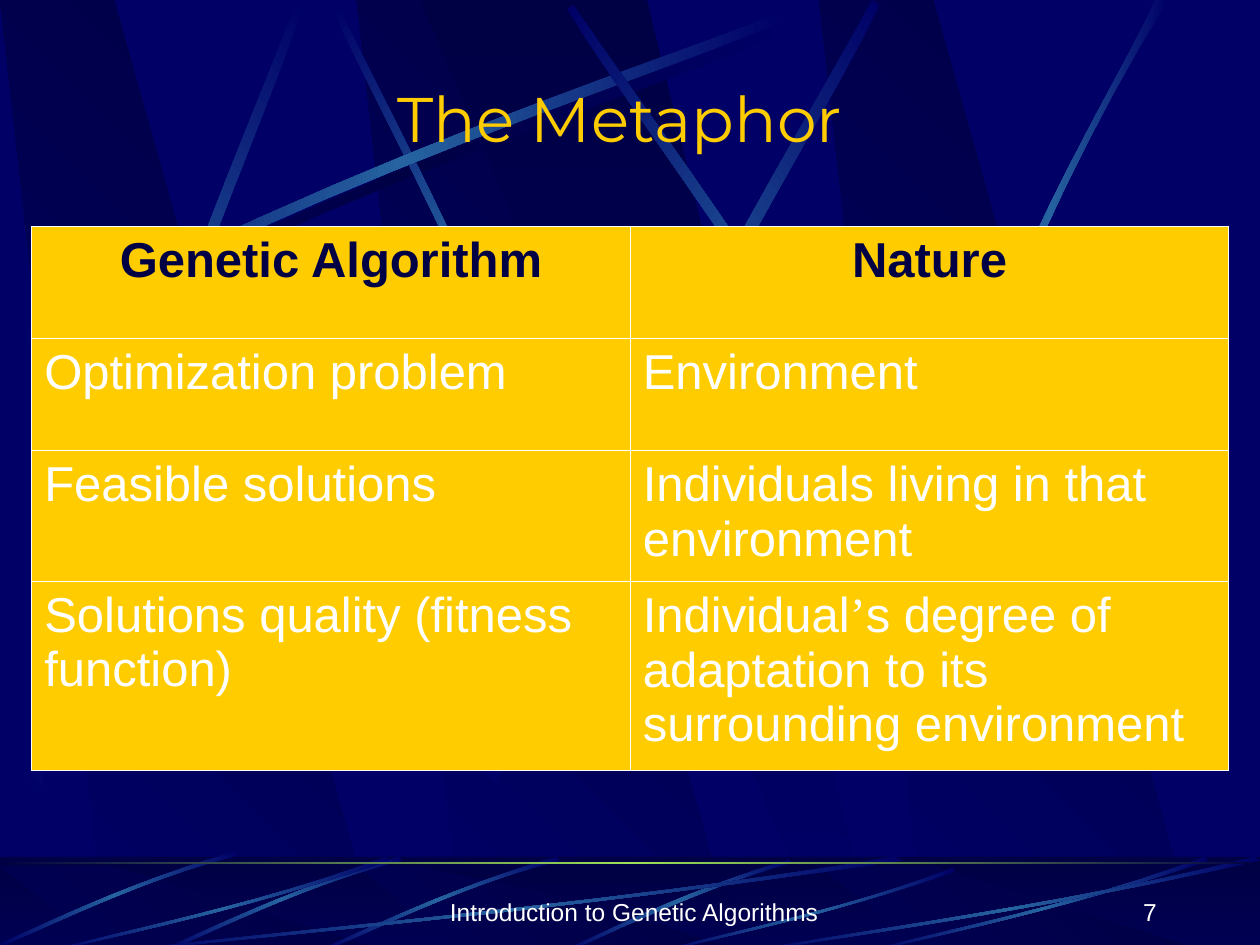
from lxml import etree
from pptx import Presentation
from pptx.dml.color import RGBColor
from pptx.enum.shapes import MSO_SHAPE
from pptx.enum.text import MSO_ANCHOR, PP_ALIGN
from pptx.oxml.ns import qn
from pptx.util import Cm, Pt

RECT = MSO_SHAPE.RECTANGLE
MID, LOW = MSO_ANCHOR.MIDDLE, MSO_ANCHOR.BOTTOM
LEFT, MIDDLE, RIGHT = PP_ALIGN.LEFT, PP_ALIGN.CENTER, PP_ALIGN.RIGHT

NAVY, DARK, STEEL = "000066", "000044", "2663A0"
GOLD, WHITE, LIME = "FFCC00", "FFFFFF", "9CE157"
GLOW = [NAVY, STEEL, NAVY]

# Outlines within a unit box
SHARD = [(.28, 1), (1, 1), (.3, 0), (0, 0)]
WEDGE = [(0, 0), (.9, 1), (1, 1), (.5, 0)]
SWEEP = [(1, .04), (.57, .57), (.17, .85), (.01, 1),
         (0, .99), (.17, .81), (.62, .51), (.99, 0)]

# Rays in cm: two curves of four points each
LONG = [(.36, 6.78), (7.06, 3.18), (13.16, 1.3), (15.75, .25),
        (15.82, .41), (13.26, 1.55), (6.3, 3.63), (.43, 7.04)]
RAYS = [
    (45, [(11.68, 11.07), (9.93, 5.94), (7.67, 1.96), (6.83, .13),
          (6.71, .18), (7.49, 2.01), (10.11, 6.55), (11.53, 11.15)]),
    (0, LONG),
    (311.7, [(.58, 15.88), (2.36, 8.48), (5, 2.67), (5.97, .05),
             (6.12, .1), (5.26, 2.74), (2.18, 9.35), (.81, 15.98)]),
    (321.6, [(9.78, 15.6), (12.65, 8.13), (16.21, 2.59), (17.58, 0),
             (17.73, .1), (16.48, 2.74), (12.34, 9.02), (10.01, 15.77)]),
    (34.8, [(20.47, 14.22), (17.02, 7.44), (13.11, 2.41), (11.56, .1),
            (11.43, .18), (12.88, 2.57), (17.4, 8.26), (20.29, 14.38)]),
    (0, [(18.75, 9.98), (20.68, 4.39), (22.56, 1.65), (23.29, 0),
         (23.55, 0), (21.23, 3.68), (19.53, 8.18), (18.9, 10.08)]),
]
ARC = [(15.93, .05), (13.64, .74), (12.12, 1.57), (11.38, 1.88),
       (11.51, 1.9), (12.45, 1.45), (14.5, .51), (15.95, .13)]
BLADE = [(11.23, 0), (9.02, .64), (7.29, 1.52), (6.5, 1.85),
         (6.53, 1.9), (7.32, 1.6), (9.27, .58), (11.28, .08)]

ROWS = [
    ("Genetic Algorithm", "Nature"),
    ("Optimization problem", "Environment"),
    ("Feasible solutions", "Individuals living in that environment"),
    ("Solutions quality (fitness function)",
     "Individual’s degree of adaptation to its surrounding environment"),
]
HEIGHTS = [2.26, 2.26, 2.64, 3.81]


def color(code):
    return RGBColor.from_string(code)


def node(parent, tag, **attrs):
    return etree.SubElement(parent, qn("a:" + tag), attrs)


def shade(shape, codes, angle):
    """Fill with evenly spaced gradient stops and no outline."""
    shape.shadow.inherit = False
    shape.line.fill.background()
    shape.fill.gradient()
    grad = shape.fill._xPr.find(qn("a:gradFill"))
    for child in list(grad):
        grad.remove(child)
    stops = node(grad, "gsLst")
    for i, code in enumerate(codes):
        stop = node(stops, "gs", pos=str(100000 * i // (len(codes) - 1)))
        node(stop, "srgbClr", val=code)
    node(grad, "lin", ang=str(round(angle * 60000)), scaled="0")


def outline(slide, points, codes, angle):
    dots = [(Cm(x), Cm(y)) for x, y in points]
    pen = slide.shapes.build_freeform(*dots[0])
    pen.add_line_segments(dots[1:], close=True)
    shade(pen.convert_to_shape(), codes, angle)


def fit(points, box):
    x, y, w, h = box
    return [(x + px * w, y + py * h) for px, py in points]


def curve(ends, steps=12):
    """Points along a cubic curve."""
    for i in range(steps + 1):
        t = i / steps
        parts = ((1 - t) ** 3, 3 * t * (1 - t) ** 2, 3 * t * t * (1 - t), t ** 3)
        yield tuple(sum(p * e[k] for p, e in zip(parts, ends)) for k in (0, 1))


def ray(slide, points, angle=0, codes=GLOW):
    outline(slide, [*curve(points[:4]), *curve(points[4:])], codes, angle)


def block(slide, box):
    return slide.shapes.add_shape(RECT, *map(Cm, box))


def shards(slide, box):
    x, y, w, h = box
    for left in (7.19, 0, 16.51):
        outline(slide, fit(SHARD, (x + left, y, 7.67, h)), [NAVY, DARK], 315)
    outline(slide, fit(WEDGE, (x + 8.46, y, 9.17, h)), [DARK, NAVY], 90)


def sky(slide, box):
    x, y, w, h = box
    shards(slide, box)
    ray(slide, fit(LONG, (x + .15, y + .2, 1, 1)), 0, [NAVY, DARK, NAVY])
    for angle, points in RAYS:
        ray(slide, fit(points, (x, y, 1, 1)), angle)


def ground(slide, box):
    x, y, w, h = box
    shade(block(slide, box), [DARK, NAVY], 90)
    shards(slide, (x, y + .2, w, h - .23))
    # Half-transparent veil
    veil = block(slide, box)
    veil.shadow.inherit = False
    veil.line.fill.background()
    veil.fill.solid()
    veil.fill.fore_color.rgb = color(DARK)
    node(veil.fill._xPr.find(".//" + qn("a:srgbClr")), "alpha", val="50000")
    # Light rays
    ray(slide, fit(ARC, (x, y, 1, 1)))
    for dx, dy in ((0, 0), (-3.18, 0), (-6.5, -.1)):
        ray(slide, fit(BLADE, (x + dx, y + dy, 1, 1)), 315)
    for dx, dy, wide in ((2.54, 0, 15.67), (1.07, 0, 6.78), (13.39, .23, 5.87),
                         (17.58, 0, 6.78), (15.24, 0, 10.16)):
        ray(slide, fit(SWEEP, (x + dx, y + dy, wide, h - dy)))
    # Bright edge
    shade(block(slide, (x, y + .1, w, .05)), [DARK, LIME, DARK], 0)


def write(para, text, align, **look):
    para.alignment = align
    run = para.add_run()
    run.text = text
    look = {"name": "Arial", "bold": False, **look}
    run.font.color.rgb = color(look.pop("ink"))
    for key, value in look.items():
        setattr(run.font, key, value)


def label(slide, box, text, align):
    frame = slide.shapes.add_textbox(*map(Cm, box)).text_frame
    frame.word_wrap = True
    frame.vertical_anchor = LOW
    write(frame.paragraphs[0], text, align, size=Pt(14), ink=WHITE)


def heading(slide, box, text):
    title = slide.shapes.title
    for key, value in zip(("left", "top", "width", "height"), box):
        setattr(title, key, Cm(value))
    title.text_frame.vertical_anchor = MID
    write(title.text_frame.paragraphs[0], text, MIDDLE,
          name="Montserrat", size=Pt(36), ink=GOLD)
    slide.shapes._spTree.append(title._element)  # above the scenery


def grid(slide, box):
    table = slide.shapes.add_table(len(ROWS), 2, *map(Cm, box)).table
    table.first_row = table.horz_banding = False
    for row, high in zip(table.rows, HEIGHTS):
        row.height = Cm(high)
    for r, texts in enumerate(ROWS):
        head = r == 0
        for c, text in enumerate(texts):
            cell = table.cell(r, c)
            props = cell._tc.get_or_add_tcPr()
            for side in ("lnL", "lnR", "lnT", "lnB"):
                line = node(props, side, w=str(Pt(.45)))
                node(node(line, "solidFill"), "srgbClr", val=WHITE)
            cell.fill.solid()
            cell.fill.fore_color.rgb = color(GOLD)
            para = cell.text_frame.paragraphs[0]
            para.space_before = Pt(7)
            # The apostrophe has a serif face
            for i, part in enumerate(text.partition("’")):
                if part:
                    write(para, part, MIDDLE if head else LEFT, size=Pt(28),
                          bold=head, ink=DARK if head else WHITE,
                          name="Times New Roman" if i == 1 else "Arial")


def main():
    deck = Presentation()
    deck.slide_width, deck.slide_height = Cm(25.4), Cm(19.05)
    slide = deck.slides.add_slide(deck.slide_layouts[5])
    slide.background.fill.solid()
    slide.background.fill.fore_color.rgb = color(NAVY)
    sky(slide, (0, 0, 25.4, 19.1))
    ground(slide, (0, 17.27, 25.4, 1.9))
    label(slide, (8.76, 17.53, 8.05, 1.27), "Introduction to Genetic Algorithms", MIDDLE)
    label(slide, (18.29, 17.53, 5.28, 1.27), "7", RIGHT)
    heading(slide, (1.7, 1.47, 21.59, 1.78), "The Metaphor")
    grid(slide, (.64, 4.57, 24.13, sum(HEIGHTS)))
    deck.save("out.pptx")


if __name__ == "__main__":
    main()
